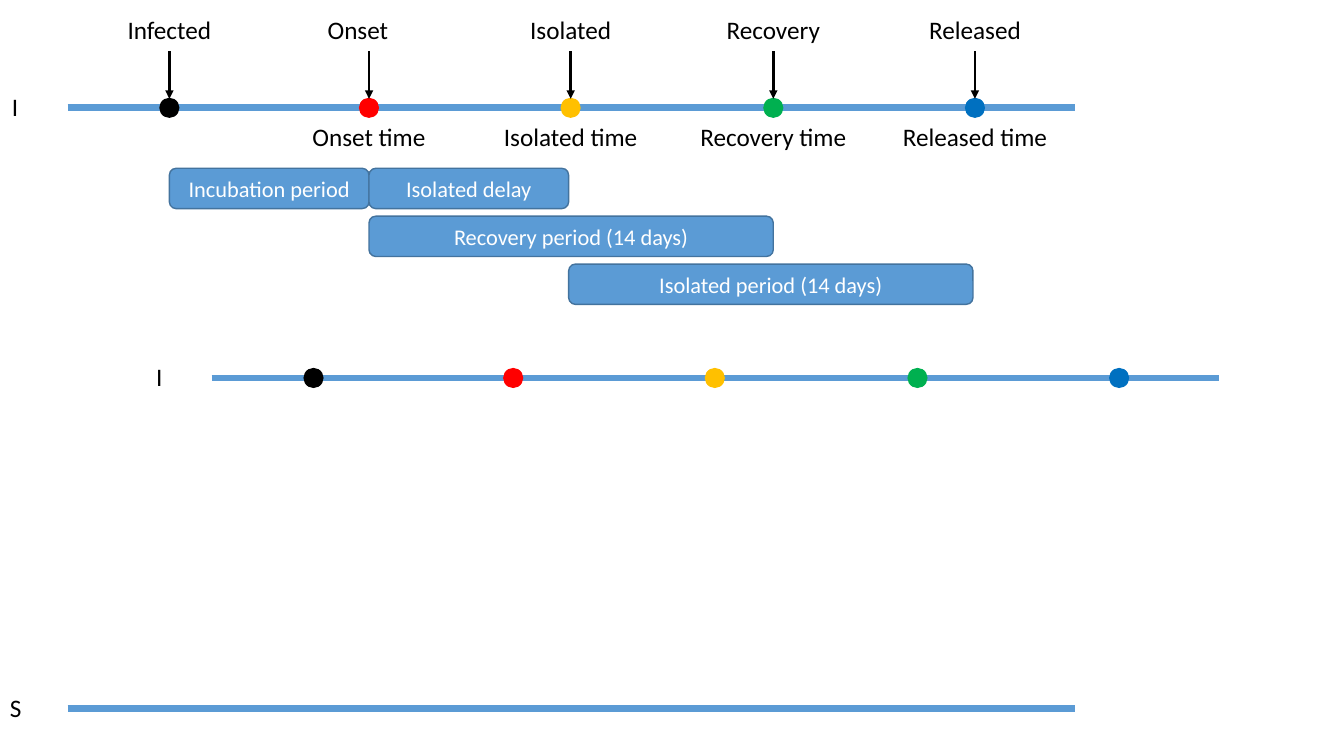
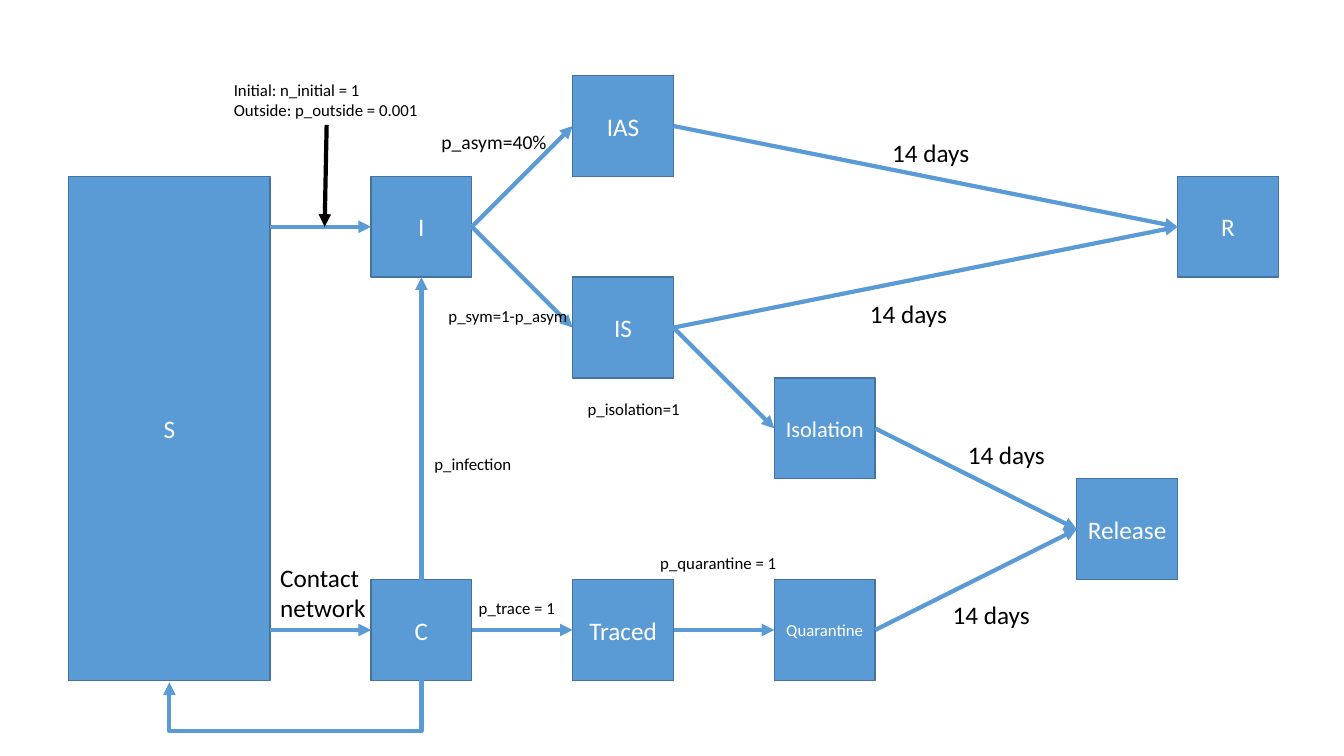
from pptx import Presentation
from pptx.dml.color import RGBColor
from pptx.enum.shapes import MSO_CONNECTOR as Link, MSO_SHAPE as Shape
from pptx.enum.text import MSO_ANCHOR as Anchor, MSO_AUTO_SIZE as AutoSize, PP_ALIGN as Align
from pptx.oxml.ns import qn
from pptx.util import Inches, Pt
from lxml.etree import SubElement

FONT = "Calibri"
COLORS = {
    "blue": "5B9BD5", "edge": "43739E", "black": "000000", "white": "FFFFFF",
    "red": "FF0000", "amber": "FFC000", "green": "00B050", "deep_blue": "0070C0",
}
TOP, LEFT, BOTTOM, RIGHT = range(4)  # connection sites of a rectangle

# Timeline events: offset from the start of the line, and dot colour
EVENTS = [(1.01, "black"), (2.99, "red"), (4.99, "amber"),
          (7, "green"), (9, "deep_blue")]
LINE_LENGTH = 9.99
LINE_START = 0.67

# Flow chart grid: square cells of one inch
GRID_LEFT, GRID_TOP = 0.68, 0.75


def rgb(name):
    """Return the named colour."""
    return RGBColor.from_string(COLORS[name])


def style_text(frame, size, color, align):
    """Format every run of a text frame."""
    for para in frame.paragraphs:
        para.alignment = align
        for span in para.runs:
            span.font.name = FONT
            span.font.size = Pt(size)
            span.font.color.rgb = rgb(color)


def add_label(page, text, left, top, width, height=0.4, size=18,
              align=Align.LEFT, wrap=False):
    """Add black text without a frame."""
    box = page.shapes.add_textbox(Inches(left), Inches(top), Inches(width), Inches(height))
    frame = box.text_frame
    frame.text = text
    frame.word_wrap = wrap
    frame.auto_size = AutoSize.SHAPE_TO_FIT_TEXT
    style_text(frame, size, "black", align)


def add_centered_label(page, text, center, top, width):
    """Add a label centred on a horizontal position."""
    add_label(page, text, center - width / 2, top, width, align=Align.CENTER)


def add_block(page, kind, text, left, top, width, height, size):
    """Add a blue block with white text in the middle."""
    block = page.shapes.add_shape(kind, Inches(left), Inches(top), Inches(width), Inches(height))
    block.shadow.inherit = False
    block.fill.solid()
    block.fill.fore_color.rgb = rgb("blue")
    block.line.color.rgb = rgb("edge")
    block.line.width = Pt(1)
    frame = block.text_frame
    frame.text = text
    frame.word_wrap = True
    frame.vertical_anchor = Anchor.MIDDLE
    style_text(frame, size, "white", Align.CENTER)
    return block


def add_dot(page, center_x, center_y, color, size=0.2):
    """Add a round event marker."""
    dot = page.shapes.add_shape(
        Shape.OVAL, Inches(center_x - size / 2), Inches(center_y - size / 2),
        Inches(size), Inches(size))
    dot.shadow.inherit = False
    dot.fill.solid()
    dot.fill.fore_color.rgb = rgb(color)
    dot.line.fill.background()


def add_line(page, start=(0, 0), end=(0, 0), color="blue", width=3, arrow=True,
             kind=Link.STRAIGHT):
    """Add a connector, with an arrowhead at its end unless told otherwise."""
    line = page.shapes.add_connector(kind, *map(Inches, start + end))
    line.line.color.rgb = rgb(color)
    line.line.width = Pt(width)
    if arrow:
        SubElement(line.line._get_or_add_ln(), qn("a:tailEnd"), type="triangle")
    SubElement(line._element.spPr, qn("a:effectLst"))
    return line


def join(page, source, target, source_side=RIGHT, target_side=LEFT):
    """Add an arrow that is attached to two blocks."""
    arrow = add_line(page)
    arrow.begin_connect(source, source_side)
    arrow.end_connect(target, target_side)


def add_return_arrow(page, start, end, drop):
    """Add an elbow arrow that goes down, left and up again."""
    width, height = end[1] - start[1], start[0] - end[0]
    left = (start[0] + end[0] - width) / 2
    top = (start[1] + end[1] - height) / 2
    arrow = add_line(page, (left, top), (left + width, top + height), kind=Link.ELBOW)
    properties = arrow._element.spPr
    properties.find(qn("a:xfrm")).set("rot", str(90 * 60000))
    geometry = properties.find(qn("a:prstGeom"))
    guides = geometry.find(qn("a:avLst"))
    if guides is None:
        guides = SubElement(geometry, qn("a:avLst"))
    SubElement(guides, qn("a:gd"), name="adj1", fmla=f"val {round(drop / width * 100000)}")


def add_timeline(page, name, start, y, events):
    """Add a named horizontal line with its event dots."""
    add_line(page, (start, y), (start + LINE_LENGTH, y), width=5, arrow=False)
    add_centered_label(page, name, start - 0.52, y - 0.21, 0.3)
    for offset, color in events:
        add_dot(page, start + offset, y, color)


def build_timelines(page):
    """Show the course of an infection on timelines."""
    add_timeline(page, "S", LINE_START, 7.03, [])
    add_timeline(page, "I", LINE_START, 1.07, EVENTS)
    add_timeline(page, "I", 2.1, 3.75, EVENTS)

    headings = [("Infected", 1.68, 1.04), ("Onset", 3.55, 0.81), ("Isolated", 5.66, 1.01),
                ("Recovery", 7.67, 1.14), ("Released", 9.67, 1.12)]
    for (text, center, width), (offset, _) in zip(headings, EVENTS):
        add_centered_label(page, text, center, 0.09, width)
        x = LINE_START + offset
        add_line(page, (x, 0.51), (x, 0.98), "black", 2)

    times = [("Onset time", 1.34), ("Isolated time", 1.54),
             ("Recovery time", 1.67), ("Released time", 1.65)]
    for (text, width), (offset, _) in zip(times, EVENTS[1:]):
        add_centered_label(page, text, LINE_START + offset, 1.15, width)

    periods = [("Incubation period", 1.68, 0, 1.98), ("Isolated delay", 3.66, 0, 1.98),
               ("Recovery period (14 days)", 3.66, 1, 4.01),
               ("Isolated period (14 days)", 5.64, 2, 4.01)]
    for text, left, row, width in periods:
        add_block(page, Shape.ROUNDED_RECTANGLE, text, left, 1.67 + 0.475 * row, width, 0.4, 16)


def build_flow(page):
    """Show the states of the model and the ways between them."""
    states = [("S", 0, 1, 2, 5, 18), ("I", 3, 1, 1, 1, 18), ("IAS", 5, 0, 1, 1, 18),
              ("IS", 5, 2, 1, 1, 18), ("Isolation", 7, 3, 1, 1, 16), ("C", 3, 5, 1, 1, 18),
              ("Traced", 5, 5, 1, 1, 18), ("Quarantine", 7, 5, 1, 1, 12),
              ("R", 11, 1, 1, 1, 18), ("Release", 10, 4, 1, 1, 18)]
    blocks = {
        name: add_block(page, Shape.RECTANGLE, name, GRID_LEFT + column, GRID_TOP + row,
                        width, height, size)
        for name, column, row, width, height, size in states
    }
    ways = [("I", "IAS"), ("I", "IS"), ("IAS", "R"), ("IS", "R"), ("IS", "Isolation"),
            ("C", "Traced"), ("Traced", "Quarantine"), ("Quarantine", "Release"),
            ("Isolation", "Release")]
    for source, target in ways:
        join(page, blocks[source], blocks[target])
    join(page, blocks["C"], blocks["I"], TOP, BOTTOM)
    for y in (2.25, 6.25):
        add_line(page, (2.68, y), (3.68, y))
    add_return_arrow(page, (4.18, 6.75), (1.68, 6.77), 0.5)
    add_line(page, (3.24, 1.24), (3.22, 2.25), "black")

    add_label(page, "Initial: n_initial = 1\nOutside: p_outside = 0.001", 2.22, 0.74, 2.05, 0.5, 12)
    add_label(page, "p_asym=40%", 4.28, 1.24, 1.26, 0.34, 14)
    add_label(page, "Contact network", 2.68, 5.53, 1.08, 0.72, wrap=True)
    rates = [("p_sym=1-p_asym", 4.35, 2.98, 1.4), ("p_isolation=1", 5.73, 3.91, 1.13),
             ("p_infection", 4.21, 4.45, 0.97), ("p_trace = 1", 4.65, 5.88, 1),
             ("p_quarantine = 1", 6.45, 5.43, 1.46)]
    for text, left, top, width in rates:
        add_label(page, text, left, top, width, 0.3, 12)
    for left, top in [(8.75, 1.31), (8.53, 2.91), (9.5, 4.31), (9.35, 5.9)]:
        add_label(page, "14 days", left, top, 0.98)


def main():
    """Build and save the deck."""
    deck = Presentation()
    deck.slide_width, deck.slide_height = Inches(13.33), Inches(7.5)
    blank = deck.slide_layouts[6]
    for build in (build_timelines, build_flow):
        build(deck.slides.add_slide(blank))
    deck.save("out.pptx")


main()
